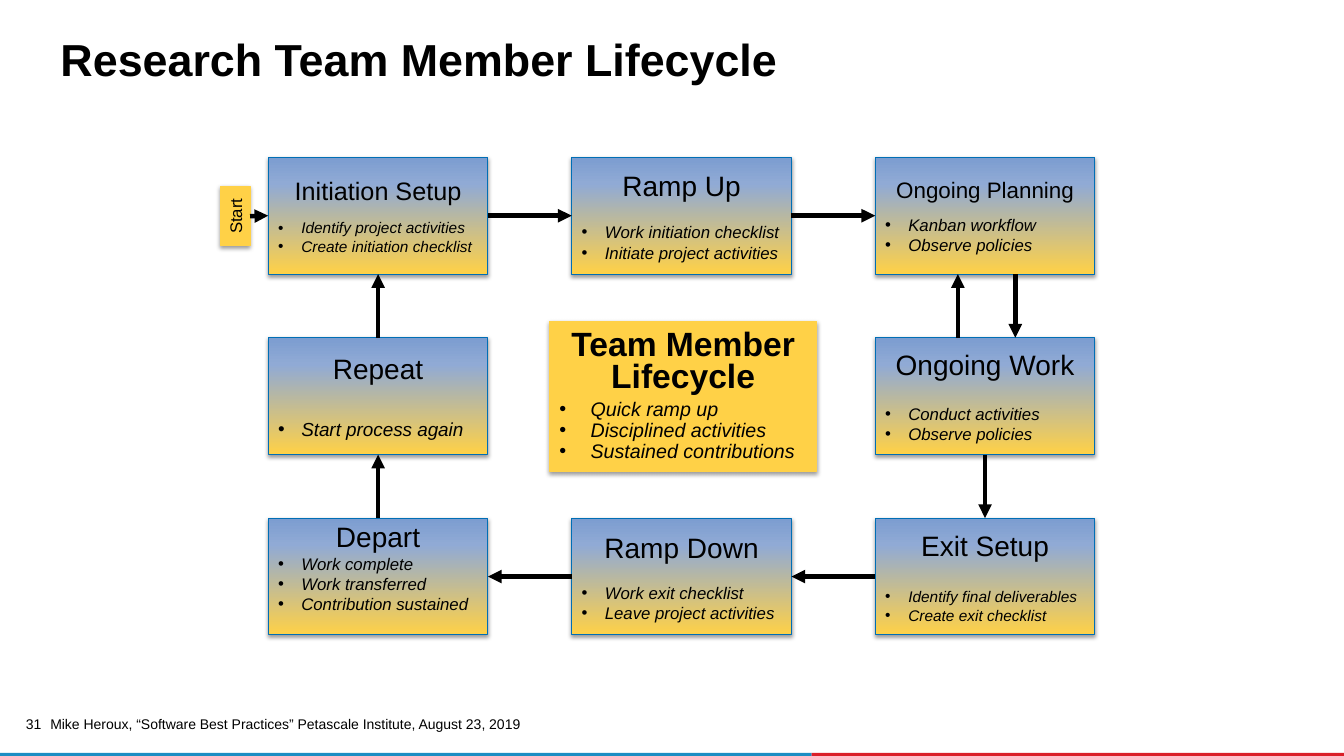
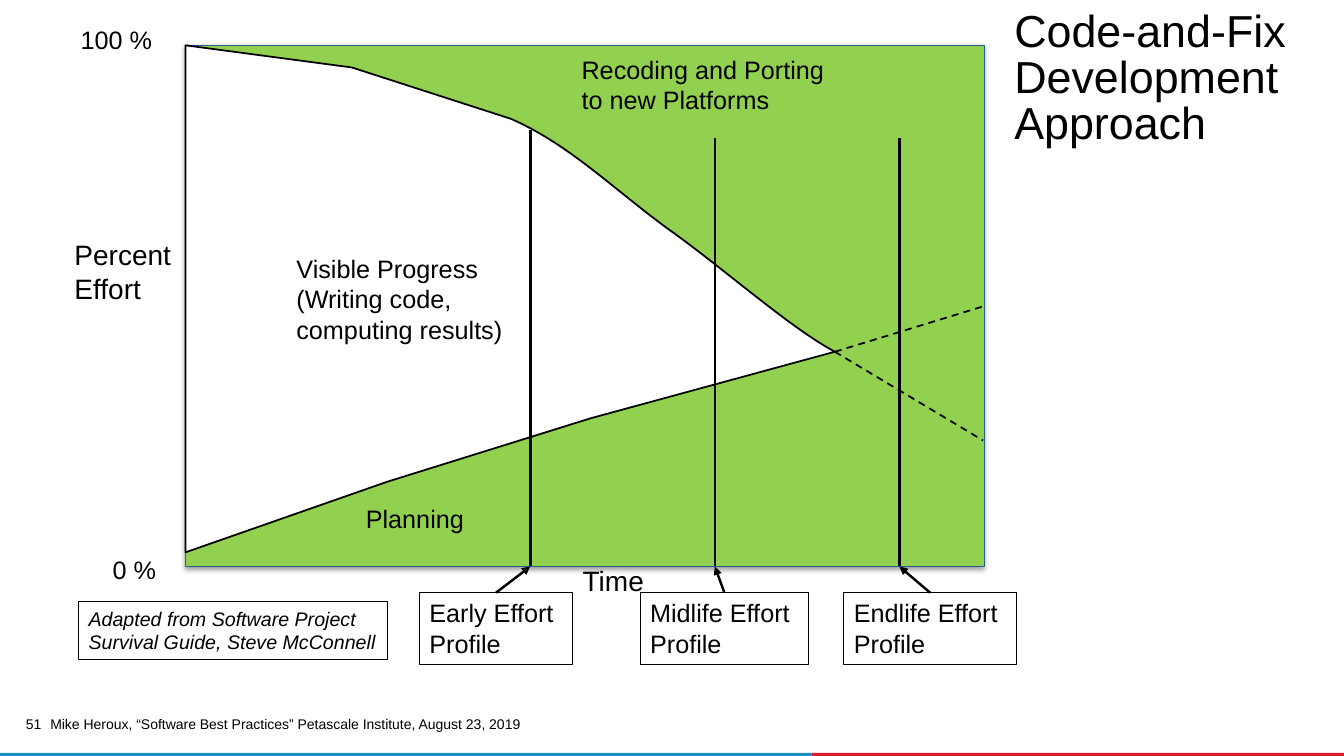
from copy import deepcopy

from lxml.etree import SubElement
from pptx import Presentation
from pptx.dml.color import RGBColor
from pptx.enum.dml import MSO_LINE
from pptx.enum.shapes import MSO_CONNECTOR, MSO_SHAPE
from pptx.enum.text import MSO_ANCHOR as ANCHOR, MSO_AUTO_SIZE as AUTO_SIZE, PP_ALIGN as ALIGN
from pptx.oxml.ns import qn
from pptx.util import Inches, Pt

FONT = "Arial"
BLACK, WHITE, GOLD, GREEN = "000000", "FFFFFF", "FFD147", "92D050"
BOX_LINE, CHART_LINE = "006EB5", "235E91"
BOX_GRADIENT = [(0, "7C9DD0"), (0.23, "90AAD5"), (1, GOLD)]
BANDS = [(0, 8.05, "1B8DC3"), (8.05, 5.28, "DA1F28")]
FOOTER = "Mike Heroux, “Software Best Practices” Petascale Institute, August 23, 2019"


def rgb(color):
    return RGBColor.from_string(color)


def inches(*lengths):
    return [Inches(length) for length in lengths]


def curve(start, control1, control2, end, steps=16):
    """Points along a cubic curve, without its start."""
    points = []
    for step in range(1, steps + 1):
        t = step / steps
        weights = ((1 - t) ** 3, 3 * t * (1 - t) ** 2, 3 * t * t * (1 - t), t ** 3)
        points.append(tuple(sum(w * p[axis] for w, p in zip(weights, (start, control1, control2, end)))
                            for axis in (0, 1)))
    return points


class Deck:
    """Holds the style and the current slide."""

    def __init__(self):
        self.prs = Presentation()
        self.prs.slide_width, self.prs.slide_height = inches(13.33, 7.5)
        self.slide = None

    def new_slide(self, title, number, place, bold=False):
        self.slide = self.prs.slides.add_slide(self.prs.slide_layouts[5])
        heading = self.slide.shapes.title
        heading.left, heading.top, heading.width, heading.height = inches(*place)
        frame = heading.text_frame
        frame.word_wrap, frame.auto_size = True, AUTO_SIZE.NONE
        frame.vertical_anchor = ANCHOR.TOP
        self.paragraph(frame, title, 32, bold=bold, spacing=0.85)
        # Footer
        for left, width, color in BANDS:
            self.box((left, 7.47, width, 0.03), color, shadow=False)
        self.label((0.4, 7.08, 6.22, 0.21), FOOTER, 10, anchor=ANCHOR.MIDDLE)
        page = self.label((0.18, 7.12, 0.23, 0.17), str(number), 10, align=ALIGN.RIGHT, spacing=0.9)
        self.insets(page.text_frame, 0, 0, 0, 0)

    def insets(self, frame, left=0.1, top=0.05, right=0.1, bottom=0.05):
        (frame.margin_left, frame.margin_top,
         frame.margin_right, frame.margin_bottom) = inches(left, top, right, bottom)

    def paragraph(self, frame, text, size, align=ALIGN.LEFT, bold=False, italic=False,
                  spacing=None, before=0, bullet_indent=None):
        first = frame.paragraphs[0]
        para = frame.add_paragraph() if first.runs else first
        para.text = text
        para.alignment = align
        if spacing:
            para.line_spacing = spacing
        if before:
            para.space_before = Pt(before)
        if bullet_indent:
            props = para._p.get_or_add_pPr()
            props.set("marL", str(Inches(bullet_indent)))
            props.set("indent", str(-Inches(bullet_indent)))
            SubElement(props, qn("a:buFont")).set("typeface", FONT)
            SubElement(props, qn("a:buChar")).set("char", "•")
        font = para.font
        font.name, font.size, font.bold, font.italic = FONT, Pt(size), bold, italic
        font.color.rgb = rgb(BLACK)

    def label(self, place, text, size, border=False, wrap=False, anchor=ANCHOR.TOP, **style):
        area = self.slide.shapes.add_textbox(*inches(*place))
        area.text_frame.word_wrap = wrap
        area.text_frame.vertical_anchor = anchor
        if border:
            self.outline(area, BLACK, 0.75)
        self.paragraph(area.text_frame, text, size, **style)
        return area

    def outline(self, shape, color, width):
        shape.line.color.rgb = rgb(color)
        shape.line.width = Pt(width)

    def box(self, place, fill, line=None, shadow=True):
        box = self.slide.shapes.add_shape(MSO_SHAPE.RECTANGLE, *inches(*place))
        if isinstance(fill, list):
            box.fill.gradient()
            box.fill.gradient_angle = 270
            stop_list = next(box._element.iter(qn("a:gsLst")))
            stop_list.insert(1, deepcopy(stop_list[0]))
            for stop, (position, color) in zip(box.fill.gradient_stops, fill):
                stop.position, stop.color.rgb = position, rgb(color)
        else:
            box.fill.solid()
            box.fill.fore_color.rgb = rgb(fill)
        if line:
            self.outline(box, line, 0.75)
        else:
            box.line.fill.background()
        box.shadow.inherit = False
        if shadow:
            effects = box._element.spPr.find(qn("a:effectLst"))
            outer = SubElement(effects, qn("a:outerShdw"), blurRad=str(Pt(3.1)), dist=str(Pt(1.6)),
                               dir="5400000", rotWithShape="0")
            tint = SubElement(outer, qn("a:srgbClr"), val=BLACK)
            SubElement(tint, qn("a:alpha"), val="38000")
        box.text_frame.word_wrap = True
        box.text_frame.vertical_anchor = ANCHOR.MIDDLE
        return box

    def stage(self, place, name, name_size, gap, tasks, task_size):
        """A process box: centred name, then bulleted tasks."""
        box = self.box(place, BOX_GRADIENT, BOX_LINE)
        self.paragraph(box.text_frame, name, name_size, ALIGN.CENTER)
        for index, task in enumerate(tasks):
            self.paragraph(box.text_frame, task, task_size, italic=True,
                           before=0 if index else gap, bullet_indent=0.23)
        return box

    def line(self, start, end, width, arrow=False, dashed=False):
        """Each end is a point, or a (shape, side) pair to join."""
        joins = [isinstance(spot[0], (int, float)) for spot in (start, end)]
        points = [spot if is_point else (0, 0) for spot, is_point in zip((start, end), joins)]
        link = self.slide.shapes.add_connector(MSO_CONNECTOR.STRAIGHT, *inches(*points[0], *points[1]))
        if not joins[0]:
            link.begin_connect(*start)
        if not joins[1]:
            link.end_connect(*end)
        self.outline(link, BLACK, width)
        if dashed:
            link.line.dash_style = MSO_LINE.DASH
        if arrow:
            SubElement(link.line._get_or_add_ln(), qn("a:tailEnd"), type="triangle")
        SubElement(link._element.spPr, qn("a:effectLst"))

    def region(self, points, fill):
        builder = self.slide.shapes.build_freeform(*inches(*points[0]))
        builder.add_line_segments([inches(*point) for point in points[1:]], close=True)
        region = builder.convert_to_shape()
        region.fill.solid()
        region.fill.fore_color.rgb = rgb(fill)
        self.outline(region, BLACK, 1.25)
        region.shadow.inherit = False
        region.text_frame.vertical_anchor = ANCHOR.MIDDLE
        return region


TOP, LEFT, BOTTOM, RIGHT = range(4)

# column, row, name, name size, gap below name, tasks, task size
STAGES = [
    (0, 0, "Initiation Setup", 18, 9, ["Identify project activities", "Create initiation checklist"], 11),
    (1, 0, "Ramp Up", 20, 14, ["Work initiation checklist", "Initiate project activities"], 12),
    (2, 0, "Ongoing Planning", 16, 8, ["Kanban workflow", "Observe policies"], 12),
    (2, 1, "Ongoing Work", 20, 16, ["Conduct activities", "Observe policies"], 12),
    (2, 2, "Exit Setup", 20, 18, ["Identify final deliverables", "Create exit checklist"], 11),
    (1, 2, "Ramp Down", 20, 13, ["Work exit checklist", "Leave project activities"], 12),
    (0, 2, "Depart", 20, 0, ["Work complete", "Work transferred", "Contribution sustained"], 12),
    (0, 1, "Repeat", 20, 23, ["Start process again"], 13.5),
]
FLOWS = [
    ("Initiation Setup", RIGHT, "Ramp Up", LEFT),
    ("Ramp Up", RIGHT, "Ongoing Planning", LEFT),
    ("Ongoing Work", BOTTOM, "Exit Setup", TOP),
    ("Exit Setup", LEFT, "Ramp Down", RIGHT),
    ("Ramp Down", LEFT, "Depart", RIGHT),
    ("Depart", TOP, "Repeat", BOTTOM),
    ("Repeat", TOP, "Initiation Setup", BOTTOM),
]


def lifecycle_slide(deck):
    deck.new_slide("Research Team Member Lifecycle", 31, (0.5, 0.35, 10.4, 0.76), bold=True)

    # Ring of stages on a three by three grid
    stages = {}
    for column, row, name, *content in STAGES:
        place = (2.66 + 3.01 * column, 1.56 + 1.79 * row, 2.18, 1.16)
        stages[name] = deck.stage(place, name, *content)
    deck.insets(stages["Depart"].text_frame, bottom=0.24)

    # Centre of the ring
    summary = deck.box((5.45, 3.19, 2.65, 1.49), GOLD, GOLD).text_frame
    deck.paragraph(summary, "Team Member Lifecycle", 24, ALIGN.CENTER, bold=True, spacing=0.8)
    for goal, before in (("Quick ramp up", 3), ("Disciplined activities", 0), ("Sustained contributions", 0)):
        deck.paragraph(summary, goal, 14, italic=True, spacing=0.9, before=before, bullet_indent=0.31)

    # Entry point
    start = deck.box((2.19, 1.85, 0.29, 0.59), GOLD, GOLD)
    start.text_frame._txBody.bodyPr.set("vert", "vert270")
    deck.insets(start.text_frame, 0, 0, 0, 0)
    deck.paragraph(start.text_frame, "Start", 12, ALIGN.CENTER)

    # Arrows
    deck.line((start, RIGHT), (stages["Initiation Setup"], LEFT), 3.25, arrow=True)
    for source, source_side, target, target_side in FLOWS:
        deck.line((stages[source], source_side), (stages[target], target_side), 3.25, arrow=True)
    deck.line((10.07, 2.72), (10.07, 3.35), 3.25, arrow=True)
    deck.line((9.5, 3.35), (9.5, 2.72), 3.25, arrow=True)


# line position, line top, box left, box width, name
PROFILES = [
    (5.26, 1.29, 4.16, 1.52, "Early"),
    (7.09, 1.37, 6.35, 1.67, "Midlife"),
    (8.92, 1.37, 8.37, 1.71, "Endlife"),
]
# place, text, size
CHART_LABELS = [
    ((0.7, 0.19, 0.92, 0.4), "100 %", 18),
    ((1.02, 5.45, 0.64, 0.4), "0 %", 18),
    ((3.53, 4.94, 1.18, 0.4), "Planning", 18),
    ((5.67, 0.49, 2.63, 0.71), "Recoding and Porting\nto new Platforms", 18),
    ((0.64, 2.31, 1.17, 0.77), "Percent\nEffort", 20),
    ((5.68, 5.54, 0.82, 0.44), "Time", 20),
]


def effort_slide(deck):
    deck.new_slide("Code-and-Fix Development Approach", 51, (9.96, 0.06, 2.92, 1.45))

    # Effort areas
    deck.box((1.84, 0.45, 7.92, 5.17), GREEN, CHART_LINE)
    bend, middle, crossing = (5.07, 1.18), (6.61, 2.26), (8.28, 3.49)
    progress = deck.region(
        [(1.84, 0.45), (3.49, 0.67), bend,
         *curve(bend, (5.64, 1.43), (6.08, 1.87), middle),
         *curve(middle, (7.15, 2.64), (7.83, 3.25), crossing),
         (5.86, 4.15), (3.84, 4.78), (1.84, 5.48)], WHITE)
    deck.insets(progress.text_frame, left=1.1)
    deck.paragraph(progress.text_frame, "Visible Progress\n(Writing code,\ncomputing results)", 18)
    for end_height in (3.04, 4.37):
        deck.line(crossing, (9.75, end_height), 1.25, dashed=True)

    for place, text, size in CHART_LABELS:
        deck.label(place, text, size)

    # Effort profiles
    for x, line_top, left, width, name in PROFILES:
        deck.line((x, line_top), (x, 5.62), 1.75)
        profile = deck.label((left, 5.88, width, 0.71), f"{name} Effort\nProfile", 18, border=True)
        deck.line((profile, TOP), (x, 5.62), 1.75, arrow=True)

    deck.label((0.78, 5.97, 3.06, 0.57), "Adapted from Software Project Survival Guide, Steve McConnell",
               14, border=True, wrap=True, italic=True)


def main():
    deck = Deck()
    lifecycle_slide(deck)
    effort_slide(deck)
    deck.prs.save("out.pptx")


if __name__ == "__main__":
    main()
